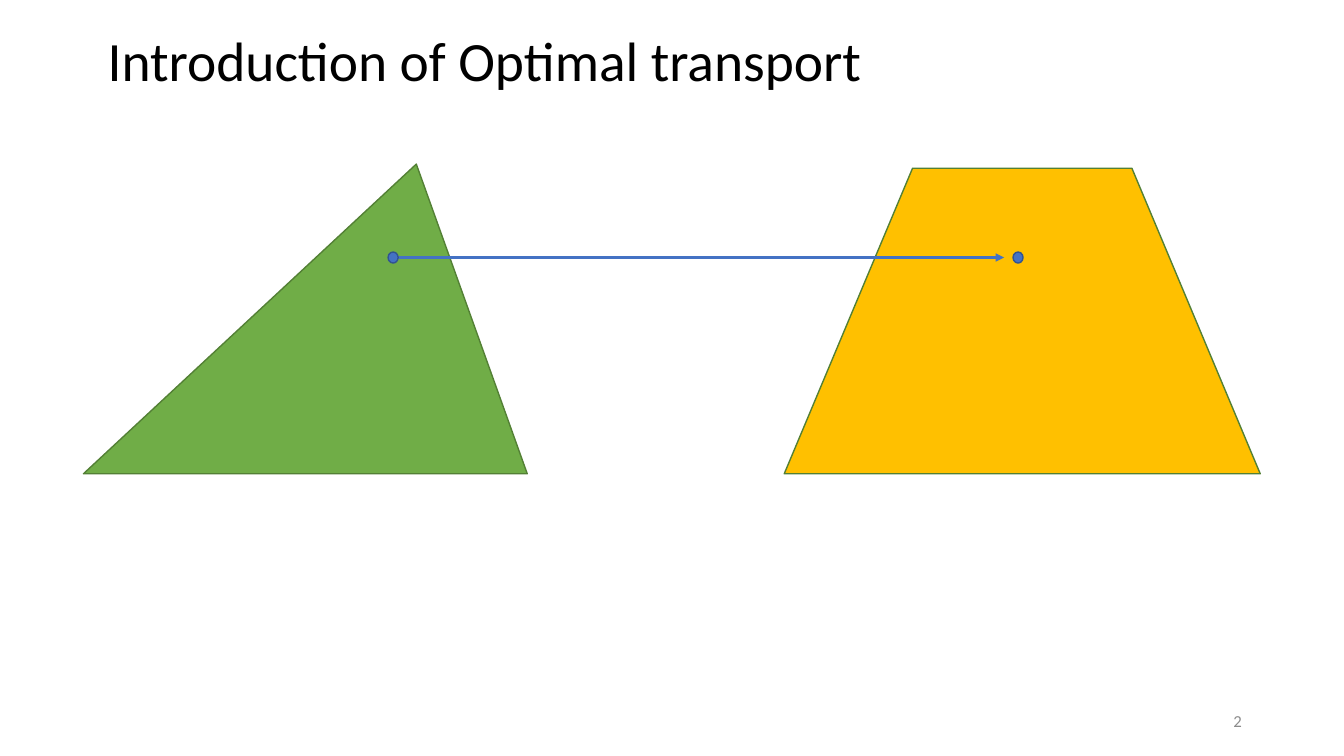
from lxml import etree
from pptx import Presentation
from pptx.dml.color import RGBColor
from pptx.enum import shapes, text
from pptx.oxml import ns
from pptx.util import Pt

COLORS = {
    "black": "000000", "gray": "8C8C8C", "green": "70AD47",
    "dark_green": "538035", "gold": "FFC000", "blue": "4472C4",
    "dark_blue": "325491",
}
KINDS = shapes.MSO_SHAPE
DOT_WIDTH, DOT_HEIGHT = 7.2, 7.9
ARROW_GAP = 10


def color(name):
    return RGBColor.from_string(COLORS[name])


def add_label(page, box, words, ink, size, align, line_spacing=1.0):
    label = page.shapes.add_textbox(*map(Pt, box))
    frame = label.text_frame
    frame_format = {"word_wrap": True, "vertical_anchor": text.MSO_ANCHOR.MIDDLE}
    for name, value in frame_format.items():
        setattr(frame, name, value)
    para = frame.paragraphs[0]
    for name, value in {"alignment": align, "line_spacing": line_spacing}.items():
        setattr(para, name, value)
    span = para.add_run()
    span.text = words
    for name, value in {"name": "Calibri", "size": Pt(size)}.items():
        setattr(span.font, name, value)
    span.font.color.rgb = color(ink)


def add_figure(page, box, kind, fill, outline, adjustment=None):
    figure = page.shapes.add_shape(kind, *map(Pt, box))
    figure.shadow.inherit = False
    figure.fill.solid()
    figure.fill.fore_color.rgb = color(fill)
    figure.line.color.rgb = color(outline)
    figure.line.width = Pt(1)
    if adjustment is not None:
        figure.adjustments[0] = adjustment


def add_mapping(page, box):
    left, top, width, height = box
    middle = top + height / 2
    start, target = left + DOT_WIDTH / 2, left + width - DOT_WIDTH / 2
    arrow = page.shapes.add_connector(
        shapes.MSO_CONNECTOR.STRAIGHT,
        Pt(start), Pt(middle), Pt(target - ARROW_GAP), Pt(middle))
    arrow.line.color.rgb = color("blue")
    arrow.line.width = Pt(1.5)
    etree.SubElement(arrow.line._get_or_add_ln(), ns.qn("a:tailEnd"), type="triangle")
    etree.SubElement(arrow._element.spPr, ns.qn("a:effectLst"))
    for center in (start, target):
        dot = (center - DOT_WIDTH / 2, top, DOT_WIDTH, height)
        add_figure(page, dot, KINDS.OVAL, "blue", "dark_blue")


def main():
    deck = Presentation()
    deck.slide_width, deck.slide_height = Pt(960), Pt(540)
    page = deck.slides.add_slide(deck.slide_layouts[6])
    add_label(page, (69.8, 28.8, 823.7, 33.8), "Introduction of Optimal transport",
              "black", 39.6, text.PP_ALIGN.LEFT, 0.9)
    add_figure(page, (59.6, 117.2, 317, 221.2), KINDS.ISOSCELES_TRIANGLE,
               "green", "dark_green", 0.75)
    add_figure(page, (560.2, 120.2, 340, 218.2), KINDS.TRAPEZOID,
               "gold", "dark_green", 0.42)
    add_mapping(page, (277.2, 180, 453.6, DOT_HEIGHT))
    add_label(page, (678.2, 500.4, 216, 28.8), "2", "gray", 12, text.PP_ALIGN.RIGHT)
    deck.save("out.pptx")


if __name__ == "__main__":
    main()
